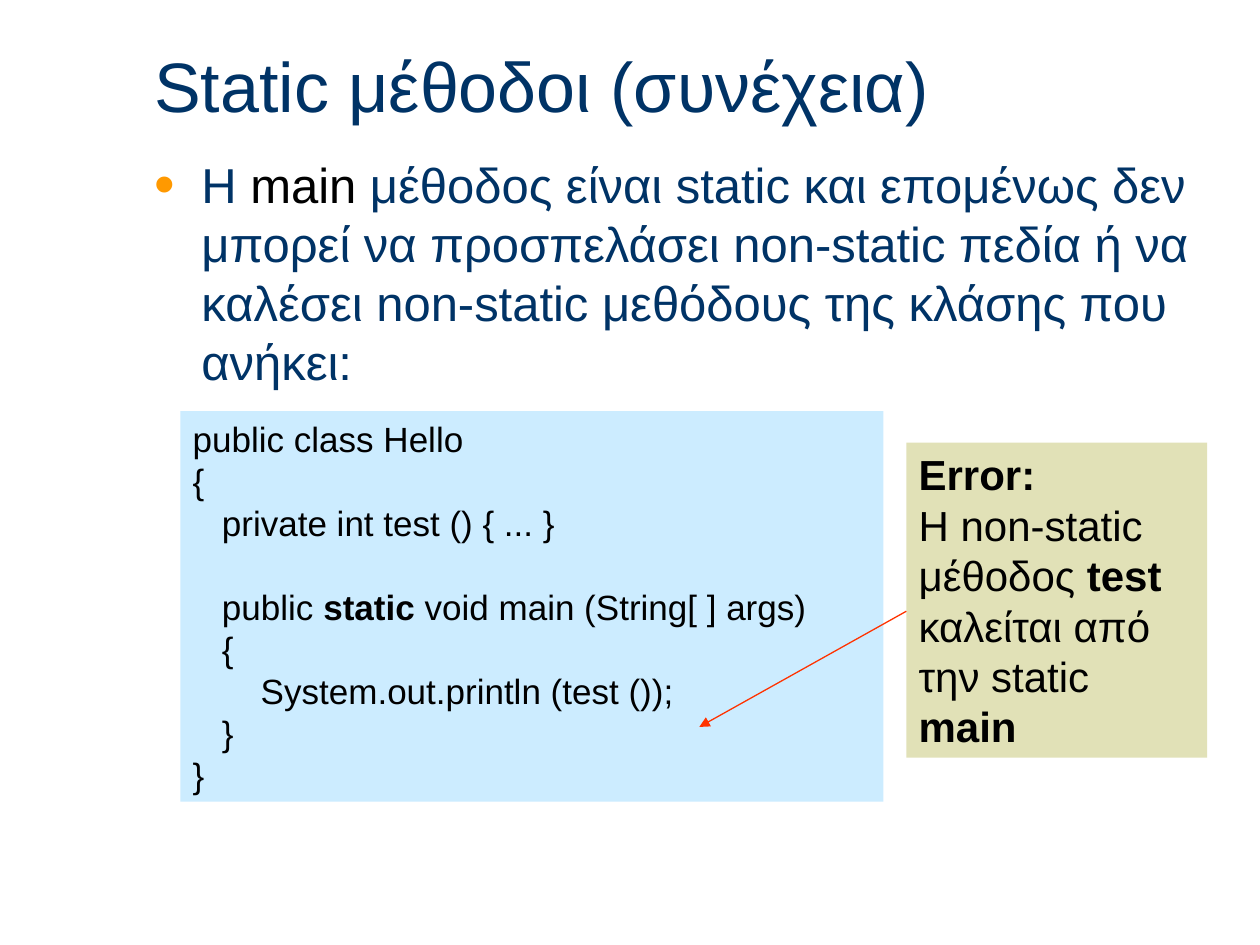
from lxml.etree import SubElement
from pptx import Presentation
from pptx.dml.color import RGBColor
from pptx.enum.shapes import MSO_CONNECTOR, MSO_SHAPE
from pptx.enum.text import MSO_ANCHOR, PP_ALIGN
from pptx.oxml.ns import qn
from pptx.util import Pt

NAVY = RGBColor(0x00, 0x33, 0x66)
BLACK = RGBColor(0x00, 0x00, 0x00)
SKY = RGBColor(0xCC, 0xEC, 0xFF)
SAND = RGBColor(0xE1, 0xE1, 0xB7)
RED = RGBColor(0xFF, 0x33, 0x00)
FONT = "Arial"

# A run is (text, colour, bold).
TITLE = [("Static μέθοδοι (συνέχεια)", NAVY, False)]
POINT = [
    ("Η", NAVY, False),
    (" main", BLACK, False),
    (" μέθοδος είναι static και επομένως δεν μπορεί να προσπελάσει "
     "non-static πεδία ή να καλέσει non-static μεθόδους της κλάσης "
     "που ανήκει:", NAVY, False),
]
# A code line is (indent, gap before, runs).
STEP, DEEP, GAP = 16.7, 38.9, 24
CODE = [
    (0, 0, [("public class Hello", BLACK, False)]),
    (0, 0, [("{", BLACK, False)]),
    (STEP, 0, [("private int test () { ... }", BLACK, False)]),
    (STEP, GAP, [("public ", BLACK, False), ("static", BLACK, True),
                 (" void main (String[ ] args)", BLACK, False)]),
    (STEP, 0, [("{", BLACK, False)]),
    (DEEP, 0, [("System.out.println (test ());", BLACK, False)]),
    (STEP, 0, [("}", BLACK, False)]),
    (0, 0, [("}", BLACK, False)]),
]
ERROR = [
    (0, 15, [("Error:", BLACK, True)]),
    (0, 0, [("Η non-static μέθοδος ", BLACK, False), ("test", BLACK, True),
            (" καλείται από την static ", BLACK, False),
            ("main", BLACK, True)]),
]

# Left, top, width, height
TITLE_BOX = (81, 14.4, 612, 67.5)
POINT_BOX = (81, 85, 612, 378)
CODE_BOX = (103, 235, 401.8, 223.2)
ERROR_BOX = (517.9, 253, 172, 180)
TIP = (399.6, 415.4)


def points(values):
    return [Pt(v) for v in values]


def write(para, runs, size):
    para.alignment = PP_ALIGN.LEFT
    for text, color, bold in runs:
        run = para.add_run()
        run.text = text
        font = run.font
        font.name, font.size, font.bold = FONT, Pt(size), bold
        font.color.rgb = color


def indent(para, left, first=0):
    props = para._p.get_or_add_pPr()
    props.set("marL", str(Pt(left)))
    props.set("indent", str(Pt(first)))
    return props


def add_panel(slide, box, fill, lines, size):
    panel = slide.shapes.add_shape(MSO_SHAPE.RECTANGLE, *points(box))
    panel.shadow.inherit = False
    panel.fill.solid()
    panel.fill.fore_color.rgb = fill
    panel.line.fill.background()
    frame = panel.text_frame
    frame.word_wrap = True
    frame.vertical_anchor = MSO_ANCHOR.TOP
    for i, (left, gap, runs) in enumerate(lines):
        para = frame.add_paragraph() if i else frame.paragraphs[0]
        indent(para, left)
        para.space_before = Pt(gap)
        write(para, runs, size)


def add_title(slide):
    title = slide.shapes.title
    title.left, title.top, title.width, title.height = points(TITLE_BOX)
    title.text_frame.vertical_anchor = MSO_ANCHOR.MIDDLE
    write(title.text_frame.paragraphs[0], TITLE, 40)


def add_point(slide):
    frame = slide.shapes.add_textbox(*points(POINT_BOX)).text_frame
    frame.word_wrap = True
    para = frame.paragraphs[0]
    para.space_before = Pt(10.5)
    write(para, POINT, 28)
    props = indent(para, 27, -27)
    color = SubElement(props, qn("a:buClr"))
    SubElement(color, qn("a:srgbClr"), val="FF9900")
    SubElement(props, qn("a:buSzPct"), val="120000")
    SubElement(props, qn("a:buFont"), typeface=FONT)
    SubElement(props, qn("a:buChar"), char="•")


def add_arrow(slide):
    """Point from the middle of the error panel's left side to the code."""
    left, top, _, height = ERROR_BOX
    ends = points((left, top + height * 0.535, *TIP))
    arrow = slide.shapes.add_connector(MSO_CONNECTOR.STRAIGHT, *ends)
    arrow.line.color.rgb = RED
    arrow.line.width = Pt(0.75)
    SubElement(arrow.line._get_or_add_ln(), qn("a:tailEnd"), type="triangle")
    SubElement(arrow._element.spPr, qn("a:effectLst"))


def main():
    deck = Presentation()
    deck.slide_width, deck.slide_height = Pt(720), Pt(540)
    slide = deck.slides.add_slide(deck.slide_layouts[5])
    add_title(slide)
    add_point(slide)
    add_panel(slide, CODE_BOX, SKY, CODE, 20)
    add_panel(slide, ERROR_BOX, SAND, ERROR, 24)
    add_arrow(slide)
    deck.save("out.pptx")


if __name__ == "__main__":
    main()
